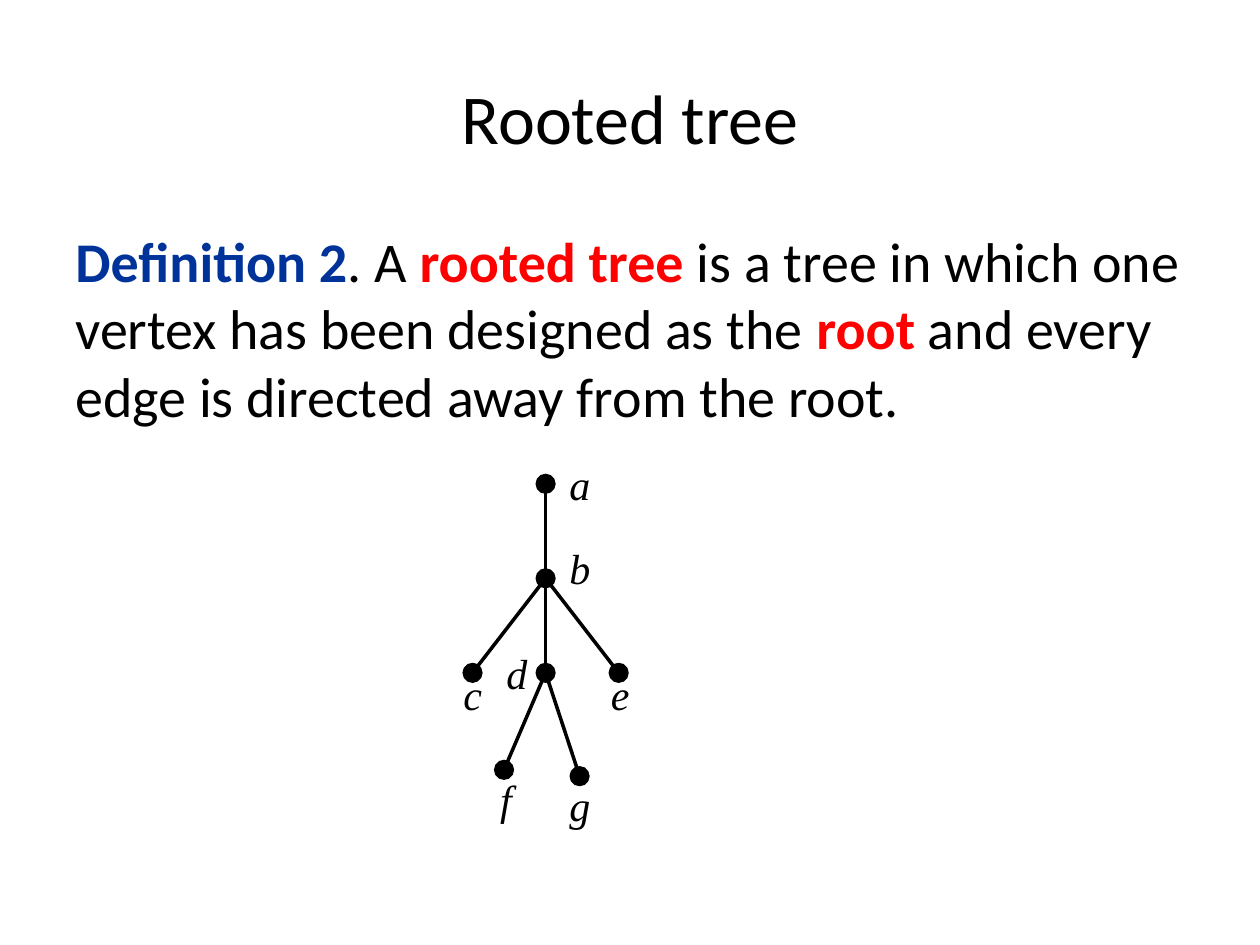
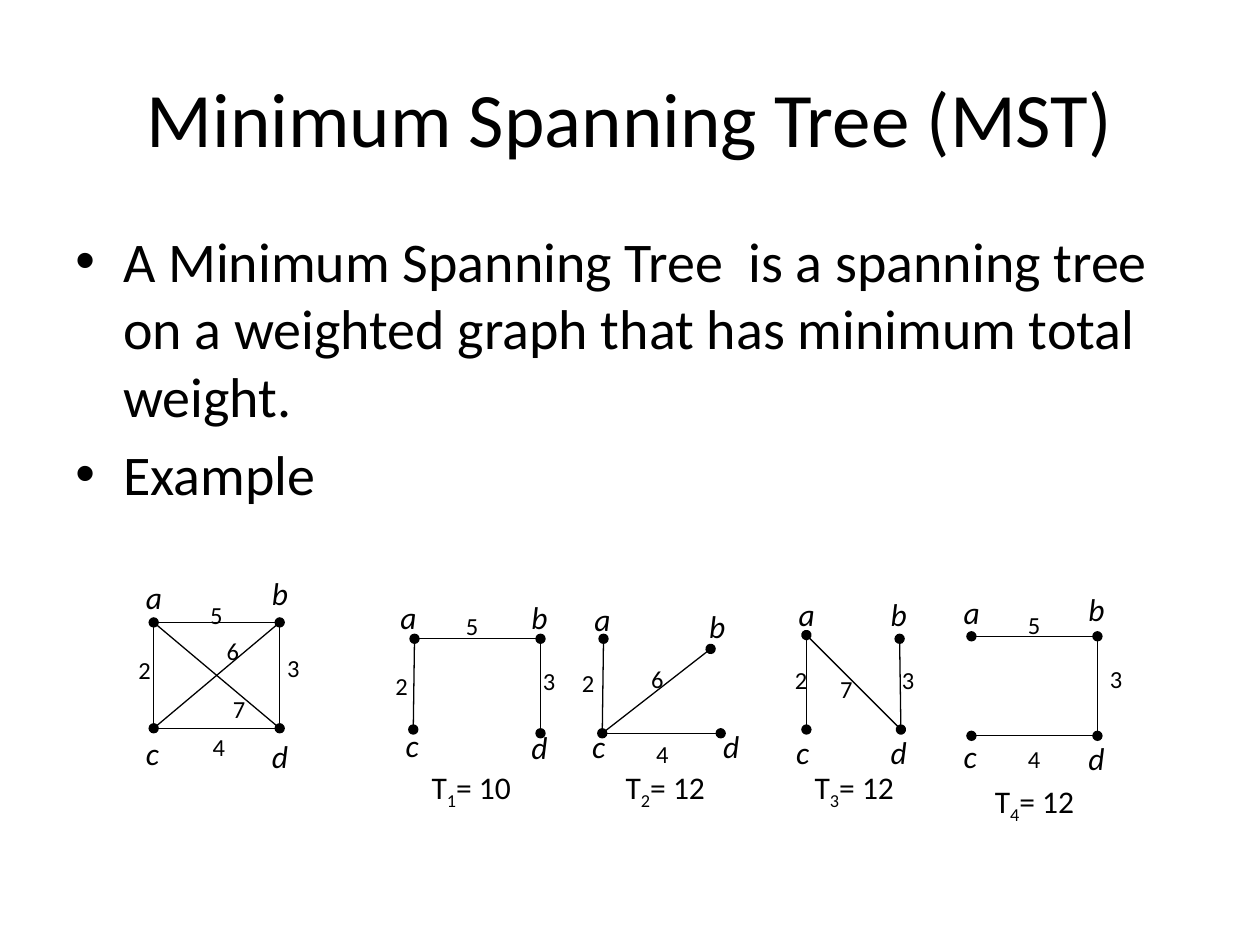
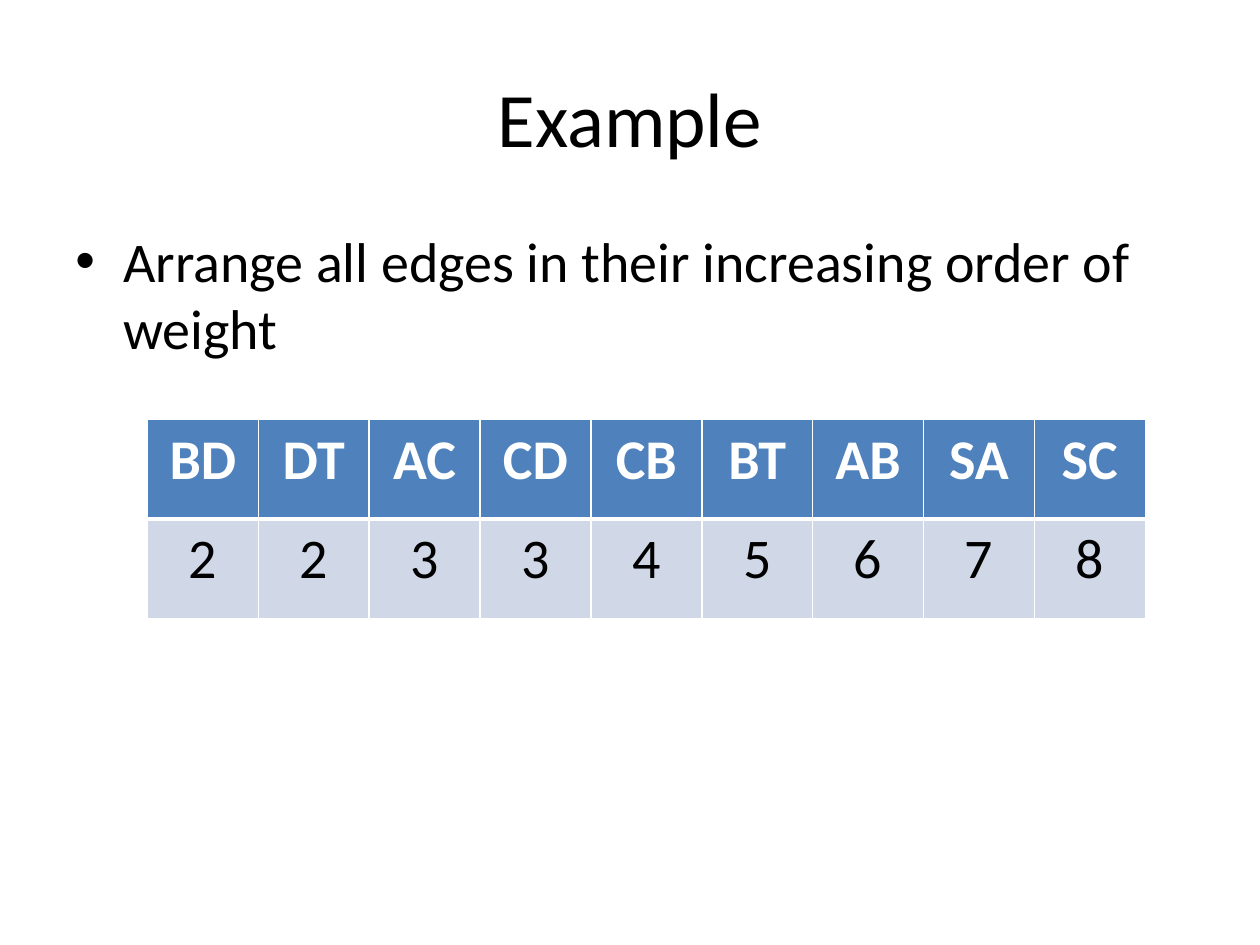
from dataclasses import dataclass

from lxml.etree import SubElement
from pptx import Presentation
from pptx.dml.color import RGBColor
from pptx.enum.shapes import MSO_CONNECTOR, MSO_SHAPE
from pptx.enum.text import MSO_ANCHOR, MSO_AUTO_SIZE, PP_ALIGN
from pptx.oxml.ns import qn
from pptx.util import Inches, Pt

BLACK = RGBColor(0x00, 0x00, 0x00)
WHITE = RGBColor(0xFF, 0xFF, 0xFF)
RED = RGBColor(0xFF, 0x00, 0x00)
NAVY = RGBColor(0x00, 0x33, 0x99)
HEADER_BLUE = RGBColor(0x4F, 0x81, 0xBD)
ROW_BLUE = RGBColor(0xD0, 0xD8, 0xE8)

TITLE_BOX = (0.5, 0.3, 9, 1.25)
BODY_BOX = (0.5, 1.75, 9, 4.95)
DOT = 0.15
WEIGHTS = {"ab": 5, "ac": 2, "ad": 7, "bc": 6, "bd": 3, "cd": 4}
LETTER_WIDTHS = {"a": 0.33, "b": 0.34, "c": 0.31, "d": 0.34}
TREE_LETTER_WIDTHS = {"c": 0.35, "e": 0.35, "f": 0.29}


@dataclass
class WeightedGraph:
    left: float
    vertices: dict
    letters: dict
    weights: dict
    caption: tuple = None


TREE_VERTICES = {
    "a": (0.75, 0.25), "b": (0.75, 1), "c": (0.17, 1.75), "d": (0.75, 1.75),
    "e": (1.33, 1.75), "f": (0.42, 2.52), "g": (1.02, 2.57),
}
TREE_LETTERS = {
    "a": (0.84, 0), "b": (0.84, 0.67), "c": (0, 1.67), "d": (0.34, 1.5),
    "e": (1.17, 1.67), "f": (0.29, 2.5), "g": (0.84, 2.55),
}
TREE_EDGES = ["ab", "bc", "bd", "be", "df", "dg"]

GRAPHS = [
    WeightedGraph(
        1,
        {"a": (0.22, 0.44), "b": (1.22, 0.44), "c": (0.22, 1.28), "d": (1.22, 1.28)},
        {"a": (0.06, 0.04), "b": (1.06, 0.01), "c": (0.06, 1.28), "d": (1.06, 1.3)},
        {"ab": (0.57, 0.21), "cd": (0.59, 1.26), "ac": (0, 0.65),
         "bd": (1.18, 0.63), "ad": (0.75, 0.96), "bc": (0.7, 0.5)},
    ),
    WeightedGraph(
        3,
        {"a": (0.29, 0.57), "b": (1.29, 0.57), "c": (0.28, 1.29), "d": (1.29, 1.32)},
        {"a": (0.08, 0.2), "b": (1.12, 0.2), "c": (0.12, 1.21), "d": (1.12, 1.23)},
        {"ab": (0.6, 0.3), "ac": (0.04, 0.78), "bd": (1.21, 0.74)},
        (0.28, 1.55),
    ),
    WeightedGraph(
        4.5,
        {"a": (0.29, 0.57), "b": (1.14, 0.65), "c": (0.28, 1.32), "d": (1.22, 1.32)},
        {"a": (0.12, 0.21), "b": (1.03, 0.27), "c": (0.1, 1.22), "d": (1.14, 1.22)},
        {"ac": (0.02, 0.75), "cd": (0.61, 1.32), "bc": (0.57, 0.72)},
        (0.32, 1.55),
    ),
    WeightedGraph(
        6.2,
        {"a": (0.2, 0.54), "b": (0.94, 0.57), "c": (0.2, 1.29), "d": (0.95, 1.29)},
        {"a": (0.04, 0.17), "b": (0.77, 0.17), "c": (0.02, 1.27), "d": (0.77, 1.27)},
        {"ad": (0.37, 0.8), "ac": (0.01, 0.73), "bd": (0.86, 0.73)},
        (0.12, 1.55),
    ),
    WeightedGraph(
        7.5,
        {"a": (0.21, 0.55), "b": (1.21, 0.55), "c": (0.21, 1.34), "d": (1.21, 1.34)},
        {"a": (0.05, 0.16), "b": (1.04, 0.13), "c": (0.05, 1.3), "d": (1.04, 1.32)},
        {"ab": (0.56, 0.29), "cd": (0.56, 1.36), "bd": (1.21, 0.72)},
        (0.25, 1.66),
    ),
]

SORTED_EDGES = {"BD": 2, "DT": 2, "AC": 3, "CD": 3, "CB": 4,
                "BT": 5, "AB": 6, "SA": 7, "SC": 8}


def write(frame, *paragraphs, size, font="Calibri", color=BLACK, bold=False,
          italic=False, align=PP_ALIGN.LEFT, bullet=False):
    for index, spans in enumerate(paragraphs):
        para = frame.add_paragraph() if index else frame.paragraphs[0]
        para.alignment = align
        if index:
            para.space_before = Pt(size * 0.2)
        if bullet:
            properties = para._p.get_or_add_pPr()
            properties.set("marL", str(Inches(0.38)))
            properties.set("indent", str(Inches(-0.38)))
            SubElement(properties, qn("a:buFont"), typeface="Arial")
            SubElement(properties, qn("a:buChar"), char="•")
        for text, changes in [(spans, {})] if isinstance(spans, str) else spans:
            span = para.add_run()
            span.text = text
            span.font.name = font
            span.font.size = Pt(size)
            span.font.italic = italic
            span.font.bold = changes.get("bold", bold)
            span.font.color.rgb = changes.get("color", color)
            if "baseline" in changes:
                span._r.get_or_add_rPr().set("baseline", str(changes["baseline"]))


def add_text(page, place, *paragraphs, anchor=MSO_ANCHOR.TOP, wrap=True, **style):
    box = page.shapes.add_textbox(*map(Inches, place))
    frame = box.text_frame
    frame.word_wrap = wrap
    frame.vertical_anchor = anchor
    if not wrap:
        frame.auto_size = MSO_AUTO_SIZE.SHAPE_TO_FIT_TEXT
    write(frame, *paragraphs, **style)


def add_edge(page, start, end, width, dots=()):
    edge = page.shapes.add_connector(MSO_CONNECTOR.STRAIGHT, *map(Inches, start + end))
    edge.line.color.rgb = BLACK
    edge.line.width = Pt(width)
    for tag in dots:
        SubElement(edge.line._get_or_add_ln(), qn(tag), type="oval")
    SubElement(edge._element.spPr, qn("a:effectLst"))


def add_vertex(page, center_x, center_y):
    dot = page.shapes.add_shape(
        MSO_SHAPE.OVAL, Inches(center_x - DOT / 2), Inches(center_y - DOT / 2),
        Inches(DOT), Inches(DOT))
    dot.shadow.inherit = False
    dot.fill.solid()
    dot.fill.fore_color.rgb = BLACK
    dot.line.color.rgb = BLACK
    dot.line.width = Pt(0.75)


def add_page(deck, title, *paragraphs, title_size=44, bullet=True):
    page = deck.slides.add_slide(deck.slide_layouts[6])
    add_text(page, TITLE_BOX, title, size=title_size, align=PP_ALIGN.CENTER,
             anchor=MSO_ANCHOR.MIDDLE)
    add_text(page, BODY_BOX, *paragraphs, size=32, bullet=bullet)
    return page


def draw_rooted_tree(page, left, top):
    points = {name: (left + x, top + y) for name, (x, y) in TREE_VERTICES.items()}
    for parent, child in TREE_EDGES:
        add_edge(page, points[parent], points[child], 2)
    for name, point in points.items():
        add_vertex(page, *point)
        x, y = TREE_LETTERS[name]
        add_text(page, (left + x, top + y, TREE_LETTER_WIDTHS.get(name, 0.37), 0.5),
                 name, size=24, font="Times New Roman", italic=True, wrap=False)


def draw_weighted_graph(page, graph, number, top):
    left = graph.left
    points = {name: (left + x, top + y) for name, (x, y) in graph.vertices.items()}
    dotted = set()
    for edge, (x, y) in graph.weights.items():
        dots = [tag for name, tag in zip(edge, ("a:headEnd", "a:tailEnd"))
                if name not in dotted]
        dotted.update(edge)
        add_edge(page, points[edge[0]], points[edge[1]], 0.75, dots)
        add_text(page, (left + x, top + y, 0.3, 0.34), str(WEIGHTS[edge]),
                 size=14, wrap=False)
    for name, (x, y) in graph.letters.items():
        add_text(page, (left + x, top + y, LETTER_WIDTHS[name], 0.4), name,
                 size=18, italic=True, wrap=False)
    if graph.caption:
        x, y = graph.caption
        total = sum(WEIGHTS[edge] for edge in graph.weights)
        add_text(page, (left + x, top + y, 0.92, 0.4),
                 [("T", {}), (str(number), {"baseline": -25000}), (f"= {total}", {})],
                 size=18, align=PP_ALIGN.CENTER)


def set_borders(cell, **widths):
    properties = cell._tc.get_or_add_tcPr()
    for side in "LRTB":
        line = SubElement(properties, qn(f"a:ln{side}"), w=str(Pt(widths.get(side, 1))))
        fill = SubElement(line, qn("a:solidFill"))
        SubElement(fill, qn("a:srgbClr"), val=str(WHITE))


def draw_edge_table(page, left, top, width, height):
    table = page.shapes.add_table(
        2, len(SORTED_EDGES), *map(Inches, (left, top, width, height))).table
    table.horz_banding = False
    for column, pair in enumerate(SORTED_EDGES.items()):
        table.columns[column].width = Inches(width / len(SORTED_EDGES))
        for row, value in enumerate(pair):
            header = row == 0
            cell = table.cell(row, column)
            set_borders(cell, **({"B": 3} if header else {"T": 3}))
            cell.fill.solid()
            cell.fill.fore_color.rgb = HEADER_BLUE if header else ROW_BLUE
            write(cell.text_frame, str(value), size=32, bold=header,
                  color=WHITE if header else BLACK, align=PP_ALIGN.CENTER)


def main():
    deck = Presentation()
    deck.slide_width = Inches(10)
    deck.slide_height = Inches(7.5)

    key_term = {"color": RED, "bold": True}
    definition = [
        ("Definition 2", {"color": NAVY, "bold": True}),
        (". A ", {}),
        ("rooted tree ", key_term),
        ("is a tree in which one vertex has been designed as the ", {}),
        ("root", key_term),
        (" and every edge is directed away from the root.", {}),
    ]
    page = add_page(deck, "Rooted tree", definition, title_size=40, bullet=False)
    draw_rooted_tree(page, 3.58, 3.59)

    page = add_page(
        deck, "Minimum Spanning Tree (MST)",
        "A Minimum Spanning Tree  is a spanning tree on a weighted graph "
        "that has minimum total weight.",
        "Example")
    for number, graph in enumerate(GRAPHS):
        draw_weighted_graph(page, graph, number, 4.5)

    page = add_page(deck, "Example",
                    "Arrange all edges in their increasing order of weight")
    draw_edge_table(page, 1.17, 3.33, 7.92, 1.58)

    deck.save("out.pptx")


if __name__ == "__main__":
    main()
